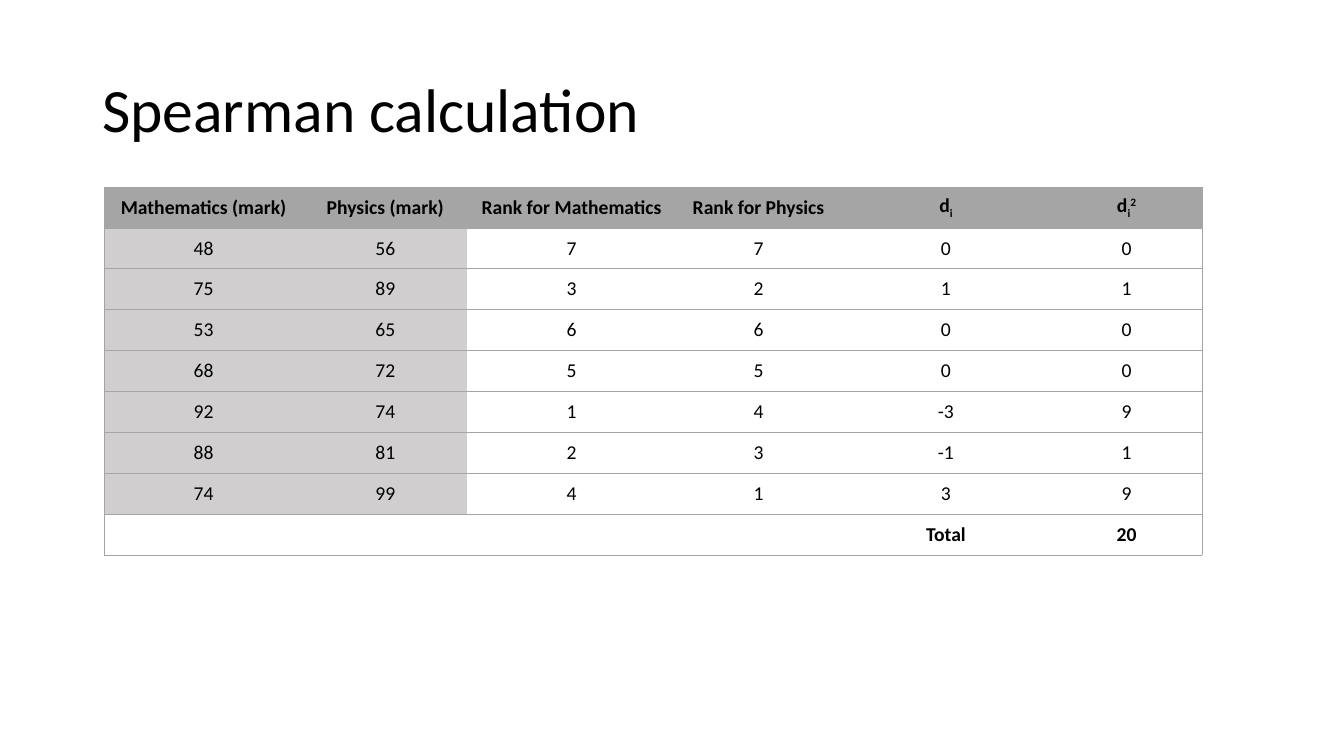
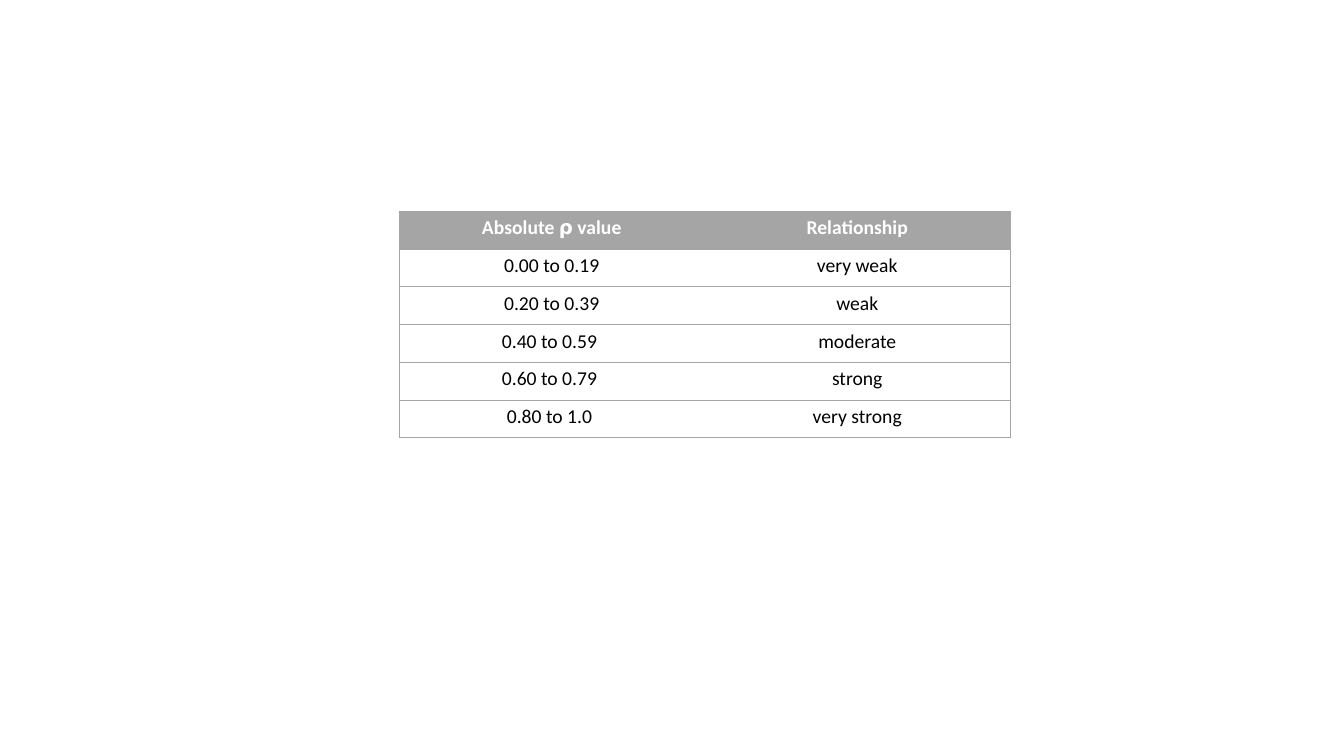
from typing import NamedTuple

from lxml import etree
from pptx import Presentation
from pptx.dml.color import RGBColor
from pptx.enum.text import MSO_ANCHOR as Anchor, PP_ALIGN as Align
from pptx.oxml.ns import qn
from pptx.util import Emu, Pt

EMU_PER_PX = 9525
FONT = "Calibri"
BLACK, WHITE = "000000", "FFFFFF"
GREY, LIGHT_GREY = "A5A5A5", "D0CECE"
SUBSCRIPT, SUPERSCRIPT = -25000, 30000


class Part(NamedTuple):
    text: str
    baseline: int = 0


class TableSpec(NamedTuple):
    left: int
    top: int
    col_widths: list[int]
    row_height: int
    rows: list[list]
    header_color: str
    anchor: Anchor
    shaded_cols: int = 0
    has_total: bool = False


D_I = [Part("d"), Part("i", SUBSCRIPT)]

SPEARMAN = TableSpec(
    left=99, top=178, col_widths=[190, 156, 199, 157, 200, 144], row_height=39,
    header_color=BLACK, anchor=Anchor.MIDDLE, shaded_cols=2, has_total=True,
    rows=[
        ["Mathematics (mark)", "Physics (mark)", "Rank for Mathematics",
         "Rank for Physics", D_I, D_I + [Part("2", SUPERSCRIPT)]],
        ["48", "56", "7", "7", "0", "0"],
        ["75", "89", "3", "2", "1", "1"],
        ["53", "65", "6", "6", "0", "0"],
        ["68", "72", "5", "5", "0", "0"],
        ["92", "74", "1", "4", "-3", "9"],
        ["88", "81", "2", "3", "-1", "1"],
        ["74", "99", "4", "1", "3", "9"],
        ["", "", "", "", "Total", "20"],
    ])

STRENGTH = TableSpec(
    left=380, top=201, col_widths=[291, 291], row_height=36,
    header_color=WHITE, anchor=Anchor.TOP,
    rows=[
        ["Absolute ⍴ value", "Relationship"],
        ["0.00 to 0.19", "very weak"],
        ["0.20 to 0.39", "weak"],
        ["0.40 to 0.59 ", "moderate"],
        ["0.60 to 0.79 ", "strong"],
        ["0.80 to 1.0 ", "very strong"],
    ])


def px(n: int) -> Emu:
    return Emu(n * EMU_PER_PX)


def rgb(color: str) -> RGBColor:
    return RGBColor.from_string(color)


def style_run(r, size: int, color: str, bold: bool = False) -> None:
    r.font.name = FONT
    r.font.size = Pt(size)
    r.font.bold = bold
    r.font.color.rgb = rgb(color)


def add_title(slide, text: str) -> None:
    tf = slide.shapes.add_textbox(px(88), px(38), px(1104), px(139)).text_frame
    tf.word_wrap = True
    tf.vertical_anchor = Anchor.MIDDLE
    p = tf.paragraphs[0]
    p.text = text
    p.line_spacing = 0.9
    style_run(p.runs[0], 44, BLACK)


def set_borders(cell, left: bool, right: bool) -> None:
    """Draw the top and bottom lines, and the side lines that are asked for."""
    tc_pr = cell._tc.get_or_add_tcPr()
    for side, visible in (("L", left), ("R", right), ("T", True), ("B", True)):
        ln = etree.SubElement(tc_pr, qn(f"a:ln{side}"), w=str(Pt(0.5)))
        if visible:
            fill = etree.SubElement(ln, qn("a:solidFill"))
            etree.SubElement(fill, qn("a:srgbClr"), val=GREY)
        else:
            etree.SubElement(ln, qn("a:noFill"))


def set_fill(cell, color: str | None) -> None:
    if color:
        cell.fill.solid()
        cell.fill.fore_color.rgb = rgb(color)
    else:
        cell.fill.background()


def write_cell(cell, content: str | list[Part], color: str, bold: bool) -> None:
    p = cell.text_frame.paragraphs[0]
    p.alignment = Align.CENTER
    parts = [Part(content)] if isinstance(content, str) else content
    for part in parts:
        if not part.text:
            continue
        r = p.add_run()
        r.text = part.text
        style_run(r, 14, color, bold)
        if part.baseline:
            r.font._element.set("baseline", str(part.baseline))


def add_table(slide, spec: TableSpec) -> None:
    n_rows, n_cols = len(spec.rows), len(spec.col_widths)
    table = slide.shapes.add_table(
        n_rows, n_cols, px(spec.left), px(spec.top),
        px(sum(spec.col_widths)), px(n_rows * spec.row_height)).table
    table.first_row = table.horz_banding = False
    for column, width in zip(table.columns, spec.col_widths):
        column.width = px(width)

    for i, contents in enumerate(spec.rows):
        table.rows[i].height = px(spec.row_height)
        is_header = i == 0
        is_total = spec.has_total and i == n_rows - 1
        for j, content in enumerate(contents):
            cell = table.cell(i, j)
            cell.vertical_anchor = spec.anchor
            set_borders(cell, left=j == 0, right=j == n_cols - 1)
            if is_header:
                set_fill(cell, GREY)
            else:
                shaded = j < spec.shaded_cols and not is_total
                set_fill(cell, LIGHT_GREY if shaded else None)
            write_cell(cell, content, spec.header_color if is_header else BLACK,
                       bold=is_header or is_total)


def main() -> None:
    prs = Presentation()
    prs.slide_width, prs.slide_height = px(1280), px(720)
    blank = prs.slide_layouts[6]

    slide = prs.slides.add_slide(blank)
    add_title(slide, "Spearman calculation")
    add_table(slide, SPEARMAN)

    add_table(prs.slides.add_slide(blank), STRENGTH)
    prs.save("out.pptx")


if __name__ == "__main__":
    main()
